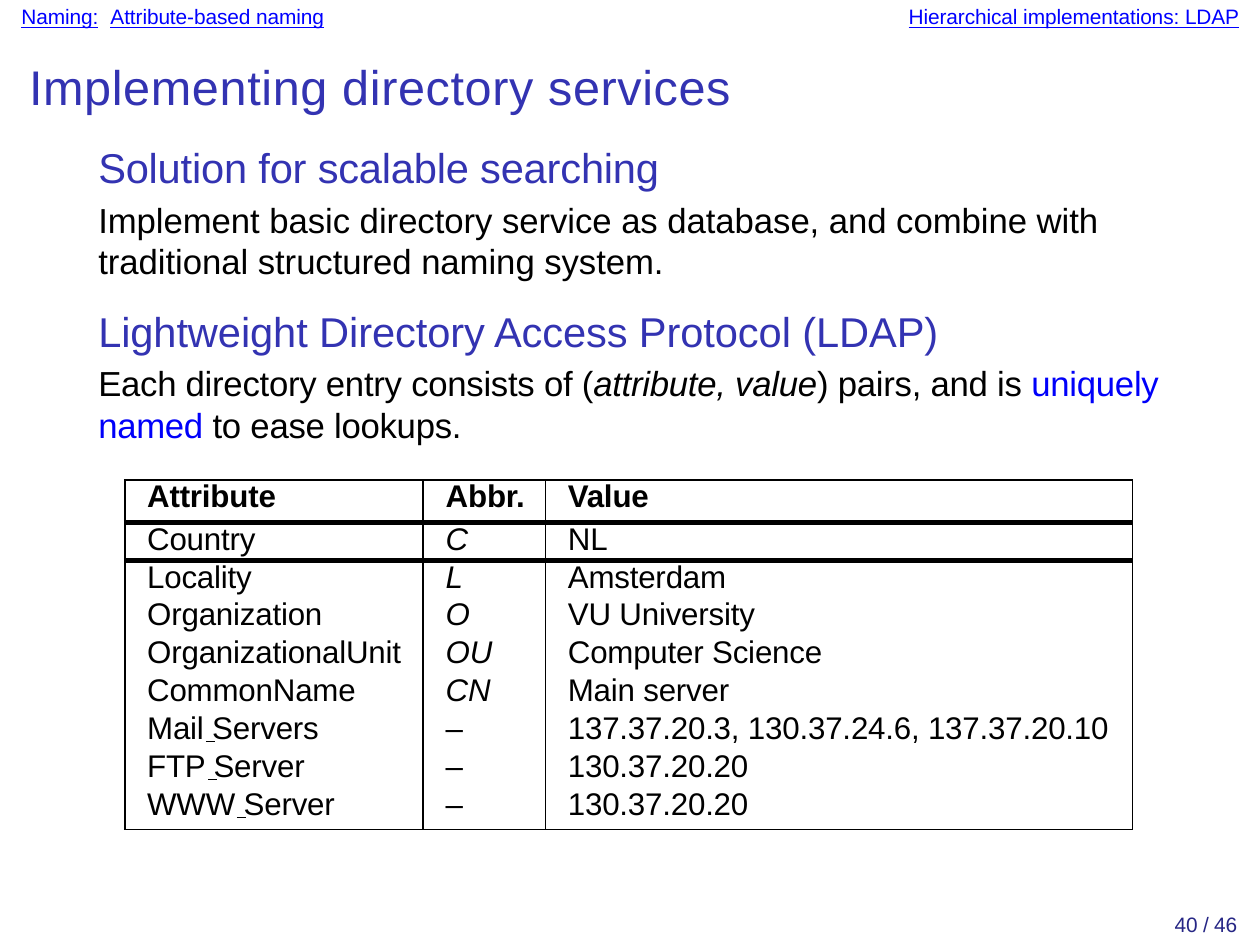
import pptx
import pptx.dml.color
import pptx.enum.shapes
import pptx.enum.text
import pptx.oxml
import pptx.oxml.ns
import pptx.util
from lxml import etree

RGB = pptx.dml.color.RGBColor
BLACK = RGB(0x00, 0x00, 0x00)
HEADING_BLUE = RGB(0x33, 0x33, 0xB2)
LINK_BLUE = RGB(0x00, 0x00, 0xFF)
EMPHASIS_BLUE = RGB(0x00, 0x00, 0xFA)
PAGE_BLUE = RGB(0x26, 0x26, 0x85)
Pt = pptx.util.Pt
qn = pptx.oxml.ns.qn

deck = pptx.Presentation()
deck.slide_width = Pt(363)
deck.slide_height = Pt(272.5)
slide = deck.slides.add_slide(deck.slide_layouts[1])


def place(left, top, width, height):
    """Turn percentages of the slide's size into lengths."""
    across, down = deck.slide_width / 100, deck.slide_height / 100
    return [round(n) for n in (left * across, top * down, width * across, height * down)]


def set_font(paragraph, size, color, tracking=-5):
    """Format a whole paragraph; tracking is in hundredths of a point."""
    paragraph.font.name = "Arial"
    paragraph.font.size = Pt(size)
    paragraph.font.color.rgb = color
    paragraph._p.pPr.find(qn("a:defRPr")).set("spc", str(tracking))


title, body = slide.placeholders
header = slide.shapes.add_textbox(*place(1.7, 0.4, 97.2, 3.4))
page = slide.shapes.add_textbox(*place(90, 96.4, 8.2, 3.2))
title.left, title.top, title.width, title.height = place(2.3, 6, 80, 7)
body.left, body.top, body.width, body.height = place(7.8, 15, 84.8, 33)
for box in (title, body, header, page):
    frame = box.text_frame
    frame.margin_left = frame.margin_top = frame.margin_right = frame.margin_bottom = 0
    frame.word_wrap = True
    frame.auto_size = pptx.enum.text.MSO_AUTO_SIZE.NONE
    frame.vertical_anchor = pptx.enum.text.MSO_ANCHOR.TOP

# Header links
links = header.text_frame.paragraphs[0]
tabs = etree.SubElement(links._p.get_or_add_pPr(), qn("a:tabLst"))
etree.SubElement(tabs, qn("a:tab"), pos=str(pptx.util.Inches(3.55)), algn="l")
set_font(links, 6, LINK_BLUE, -4)
for text in ("Naming:", " ", "Attribute-based naming", "\t", "Hierarchical implementations: LDAP"):
    run = links.add_run()
    run.text = text
    run.font.underline = bool(text.strip())
    if text == " ":
        run._r.get_or_add_rPr().set("spc", "180")

# Title and page number
title.text_frame.text = "Implementing directory services"
heading = title.text_frame.paragraphs[0]
heading.alignment = pptx.enum.text.PP_ALIGN.LEFT
set_font(heading, 14, HEADING_BLUE, 16)
page.text_frame.text = "40 / 46"
number = page.text_frame.paragraphs[0]
number.alignment = pptx.enum.text.PP_ALIGN.RIGHT
set_font(number, 6, PAGE_BLUE)

# Body: size, colour, tracking, space before, runs of (text, italic, own colour)
blocks = [
    (12, HEADING_BLUE, -5, 0, [("Solution for scalable searching", False, None)]),
    (10, BLACK, -1, 1.9, [("Implement basic directory service as database, and combine with "
                           "traditional structured naming system.", False, None)]),
    (12, HEADING_BLUE, -3, 6.8, [("Lightweight Directory Access Protocol (LDAP)", False, None)]),
    (10, BLACK, -6, 1.9, [("Each directory entry consists of (", False, None),
                          ("attribute, value", True, None),
                          (") pairs, and is ", False, None),
                          ("uniquely named ", False, EMPHASIS_BLUE),
                          ("to ease lookups.", False, None)]),
]
for index, (size, color, tracking, before, runs) in enumerate(blocks):
    paragraph = body.text_frame.add_paragraph() if index else body.text_frame.paragraphs[0]
    properties = paragraph._p.get_or_add_pPr()
    properties.set("marL", "0")
    properties.set("indent", "0")
    etree.SubElement(properties, qn("a:buNone"))
    paragraph.space_before = Pt(before)
    paragraph.line_spacing = 1.0
    set_font(paragraph, size, color, tracking)
    for text, italic, own_color in runs:
        run = paragraph.add_run()
        run.text = text
        if italic:
            run.font.italic = True
        if own_color is not None:
            run.font.color.rgb = own_color

# Directory entry
entries = [
    ("Attribute", "Abbr.", "Value"),
    ("Country", "C", "NL"),
    ("Locality", "L", "Amsterdam"),
    ("Organization", "O", "VU University"),
    ("OrganizationalUnit", "OU", "Computer Science"),
    ("CommonName", "CN", "Main server"),
    ("Mail Servers", "–", "137.37.20.3, 130.37.24.6, 137.37.20.10"),
    ("FTP Server", "–", "130.37.20.20"),
    ("WWW Server", "–", "130.37.20.20"),
]
column_shares = (23.7, 9.7, 46.6)
last = len(entries) - 1
row_shares = [4.5 if row in (0, last) else 4 for row in range(len(entries))]
directory = slide.shapes.add_table(
    len(entries), 3, *place(9.9, 50.75, sum(column_shares), sum(row_shares))).table
directory.first_row = directory.horz_banding = False
for column, share in zip(directory.columns, column_shares):
    column.width = place(0, 0, share, 0)[2]
# Rule widths above each row, and below the last one
rules = [0.5, 1.5, 1.5] + [0] * (last - 2) + [0.5]
for row, entry in enumerate(entries):
    directory.rows[row].height = place(0, 0, 0, row_shares[row])[3]
    for col, text in enumerate(entry):
        cell = directory.cell(row, col)
        cell.margin_left = pptx.util.Inches(0.09)
        cell.margin_top = cell.margin_right = cell.margin_bottom = 0
        cell.text = text
        paragraph = cell.text_frame.paragraphs[0]
        paragraph.line_spacing = Pt(9.7 if row == 0 else 10.2 if row == last else 9.9)
        set_font(paragraph, 9, BLACK)
        paragraph.font.bold = row == 0
        paragraph.font.italic = col == 1 and 0 < row and text != "–"
        sides = {"lnL": 0.5, "lnR": 0.5, "lnT": rules[row], "lnB": rules[row + 1]}
        for side, width in sides.items():
            border = etree.SubElement(cell._tc.get_or_add_tcPr(), qn("a:" + side), w=str(Pt(width)))
            if width:
                fill = etree.SubElement(border, qn("a:solidFill"))
                etree.SubElement(fill, qn("a:srgbClr"), val=str(BLACK))
            else:
                etree.SubElement(border, qn("a:noFill"))
        cell.fill.background()

# Underscores in the three server names
for step, start in enumerate((16.35, 16.55, 18.8)):
    left, top, width, _ = place(start, 78.4 + 4 * step, 0.7, 0)
    underscore = slide.shapes.add_connector(
        pptx.enum.shapes.MSO_CONNECTOR.STRAIGHT, left, top, left + width, top)
    underscore.line.color.rgb = BLACK
    underscore.line.width = Pt(0.4)
    etree.SubElement(underscore._element.spPr, qn("a:effectLst"))

deck.save("out.pptx")
